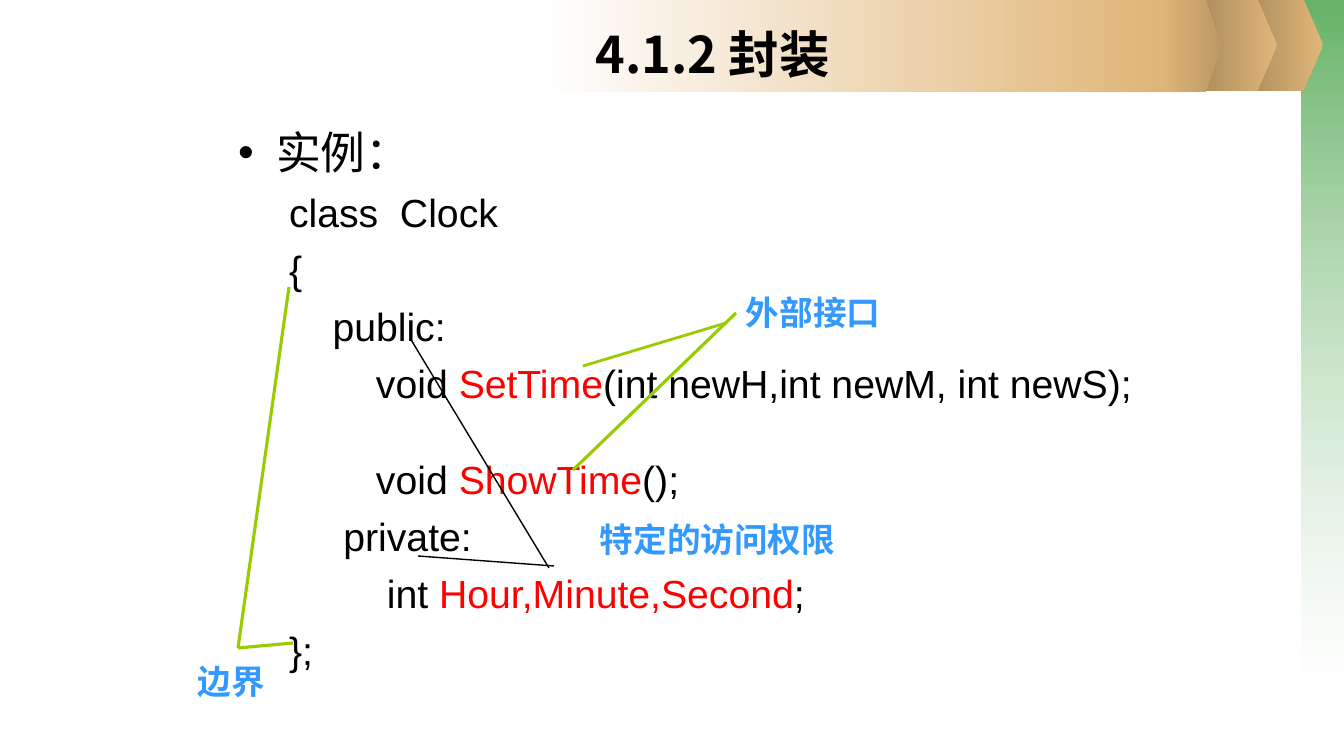
from lxml.etree import SubElement
from pptx import Presentation
from pptx.dml.color import RGBColor
from pptx.enum.shapes import MSO_CONNECTOR as Link, MSO_SHAPE as Preset
from pptx.enum.text import MSO_ANCHOR as Anchor, MSO_AUTO_SIZE as Fit, PP_ALIGN as Align
from pptx.oxml.ns import qn
from pptx.util import Pt

COLORS = {
    "green": "339933", "white": "FFFFFF", "tan": "E0B678", "brown": "AB8B5C",
    "bronze": "BD9965", "black": "000000", "red": "FF0000", "blue": "3399FF",
    "lime": "99CC00",
}
HEADING = "4.1.2 封装"
HEADING_BOX = (326, 39, 773, 62)
EXAMPLE = "实例："
EXAMPLE_BOX = (228, 120, 928, 428)
LINE_GAP, METHOD_GAP = 7, 35
CODE = [
    (LINE_GAP, [("class  Clock", "black")]),
    (LINE_GAP, [("{", "black")]),
    (LINE_GAP, [("    public:", "black")]),
    (LINE_GAP, [("        void ", "black"), ("SetTime", "red"),
                ("(int newH,int newM, int newS);", "black")]),
    (METHOD_GAP, [("        void ", "black"), ("ShowTime", "red"), ("();", "black")]),
    (LINE_GAP, [("     private:", "black")]),
    (LINE_GAP, [("         int ", "black"), ("Hour,Minute,Second", "red"), (";", "black")]),
    (LINE_GAP, [("};", "black")]),
]
BANDS = [
    (Preset.RECTANGLE, (1302, 0, 42, 682), ("green", 75), ("white", 37), 270),
    (Preset.PENTAGON, (1244, -1, 79, 92), ("brown", 100), ("tan", 100), 0),
    (Preset.PENTAGON, (1198, -1, 79, 92), ("brown", 100), ("tan", 100), 0),
    (Preset.RECTANGLE, (540, 0, 619, 92), ("white", 100), ("tan", 100), 0),
    (Preset.PENTAGON, (1159, 0, 62, 92), ("tan", 100), ("bronze", 100), 0),
]
POINTERS = [
    ((289, 287), (238, 648), "lime", 2.25),
    ((293, 643), (238, 648), "lime", 2.25),
    ((573, 470), (736, 313), "lime", 2.25),
    ((583, 366), (726, 323), "lime", 2),
    ((410, 338), (549, 568), "black", 1),
    ((418, 556), (554, 566), "black", 1),
]
LABELS = [
    ("边界", (188, 656, 104, 50)),
    ("特定的访问权限", (590, 514, 269, 50)),
    ("外部接口", (736, 287, 215, 50)),
]


def px(value):
    return round(value * 914400 / 100.8)


def color(name):
    return RGBColor.from_string(COLORS[name])


def place(part, box):
    part.left, part.top, part.width, part.height = map(px, box)


def write(paragraph, text, size, tone, bold=False, face="Arial"):
    run = paragraph.add_run()
    run.text = text
    font = run.font
    font.name, font.size, font.bold = face, Pt(size), bold
    font.color.rgb = color(tone)
    return run


def indent(paragraph, left, first):
    properties = paragraph._p.get_or_add_pPr()
    properties.set("marL", str(px(left)))
    properties.set("indent", str(px(first)))
    return properties


def add_band(slide, preset, box, start, end, angle):
    band = slide.shapes.add_shape(preset, *map(px, box))
    band.shadow.inherit = False
    band.line.fill.background()
    if preset == Preset.PENTAGON:
        band.adjustments[0] = 0.25
    band.fill.gradient()
    band.fill.gradient_angle = angle
    for stop, (tone, _) in zip(band.fill.gradient_stops, (start, end)):
        stop.color.rgb = color(tone)
    tints = band._element.spPr.iter(qn("a:srgbClr"))
    for tint, (_, opacity) in zip(tints, (start, end)):
        if opacity < 100:
            SubElement(tint, qn("a:alpha")).set("val", str(opacity * 1000))


def add_pointer(slide, start, end, tone, width):
    pointer = slide.shapes.add_connector(Link.STRAIGHT, *map(px, start + end))
    pointer.line.color.rgb = color(tone)
    pointer.line.width = Pt(width)
    SubElement(pointer._element.spPr, qn("a:effectLst"))


def add_label(slide, text, box):
    label = slide.shapes.add_textbox(*map(px, box))
    label.text_frame.word_wrap = True
    write(label.text_frame.paragraphs[0], text, 24, "blue", bold=True)


def fill_example(body):
    place(body, EXAMPLE_BOX)
    frame = body.text_frame
    frame.auto_size = Fit.NONE
    frame.vertical_anchor = Anchor.TOP
    intro = frame.paragraphs[0]
    SubElement(indent(intro, 38, -38), qn("a:buChar")).set("char", "•")
    intro.space_before = Pt(0)
    write(intro, EXAMPLE, 32, "black")
    for gap, pieces in CODE:
        line = frame.add_paragraph()
        line.level = 1
        SubElement(indent(line, 82, -31), qn("a:buNone"))
        line.space_before = Pt(gap)
        for text, tone in pieces:
            write(line, text, 28, tone)


def fill_heading(title):
    place(title, HEADING_BOX)
    frame = title.text_frame
    frame.auto_size = Fit.NONE
    frame.vertical_anchor = Anchor.TOP
    paragraph = frame.paragraphs[0]
    paragraph.alignment = Align.CENTER
    paragraph.line_spacing = 0.6
    face = "Noto Sans CJK SC"
    run = write(paragraph, HEADING, 36, "black", bold=True, face=face)
    SubElement(run.font._element, qn("a:ea")).set("typeface", face)


def main():
    deck = Presentation()
    deck.slide_width, deck.slide_height = px(1344), px(756)
    slide = deck.slides.add_slide(deck.slide_layouts[1])
    title, body = slide.placeholders
    for band in BANDS:
        add_band(slide, *band)
    fill_example(body)
    fill_heading(title)
    for holder in (body, title):
        slide.shapes._spTree.append(holder._element)
    for pointer in POINTERS:
        add_pointer(slide, *pointer)
    for label in LABELS:
        add_label(slide, *label)
    deck.save("out.pptx")


if __name__ == "__main__":
    main()
